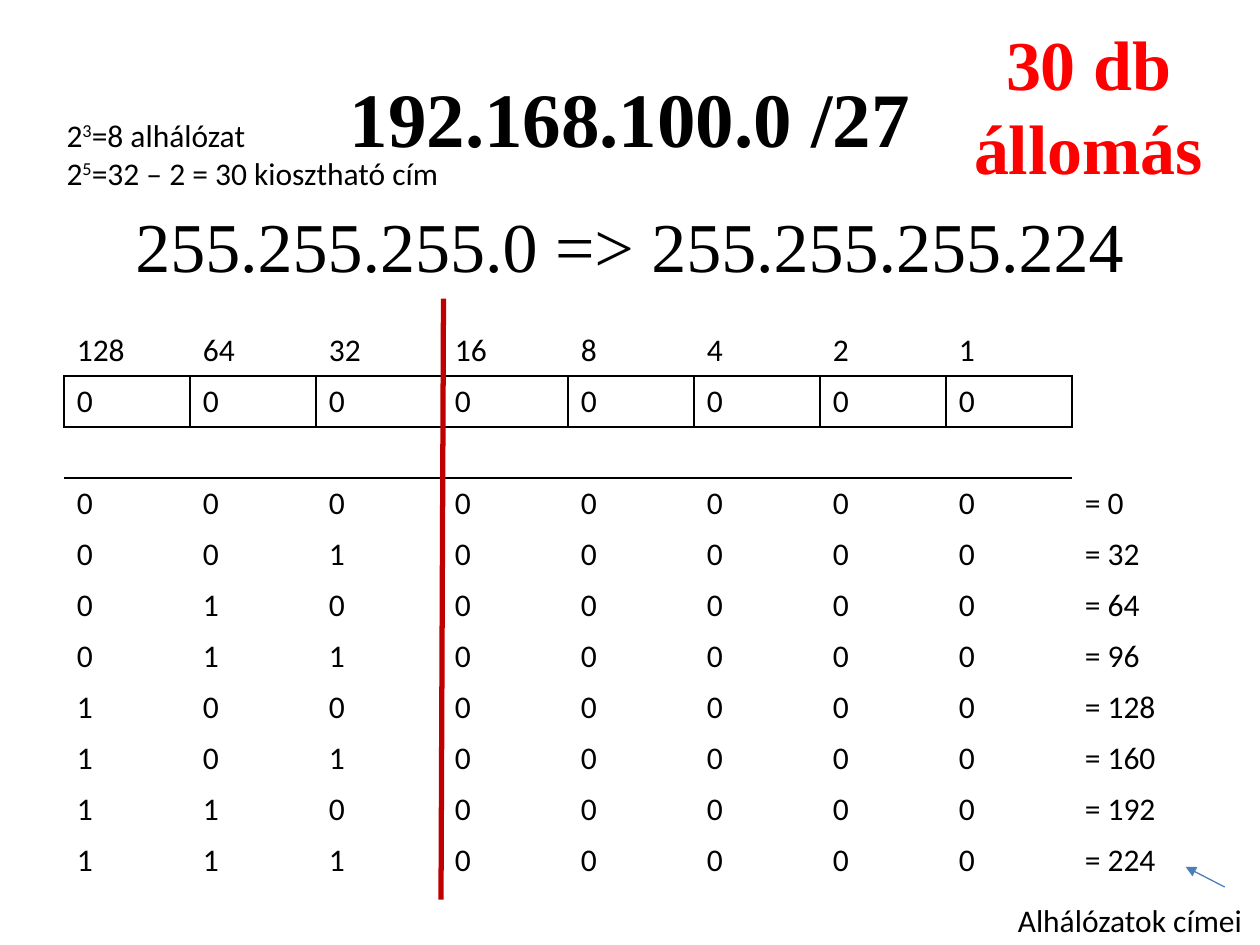
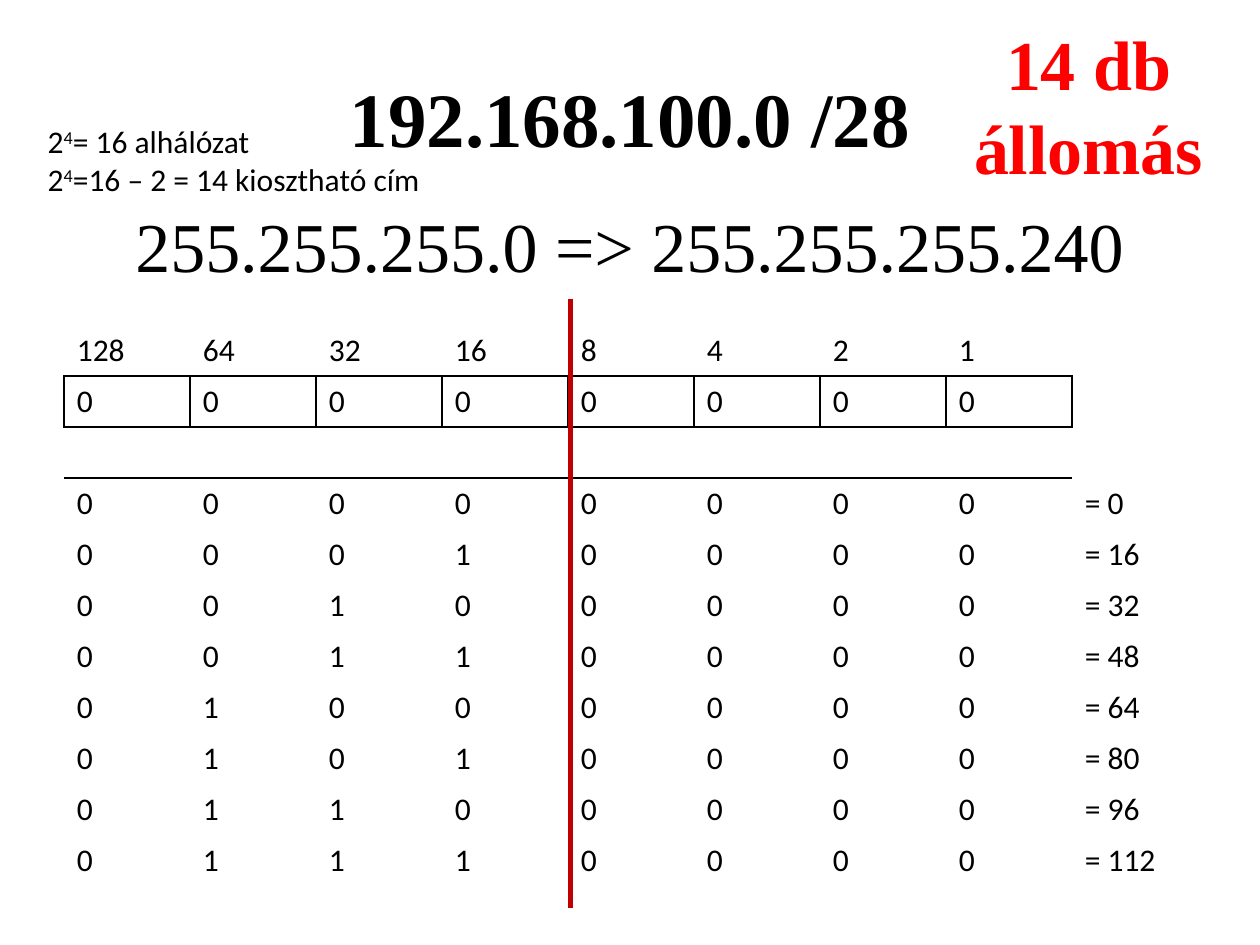
"""Two slides that split 192.168.100.0 into /27 and /28 subnets."""
from lxml import etree
from pptx import Presentation
from pptx import util as u
from pptx.dml.color import RGBColor
from pptx.enum import shapes, text
from pptx.oxml.ns import qn

SUBNETS = [
    dict(prefix=27, hosts="30 db állomás", mask=224, step=32,
         notes=[("3", "=8 alhálózat"), ("5", "=32 – 2 = 30 kiosztható cím")],
         notes_at=(0.43, 0.87), divider=((3.52, 2.37), (3.5, 7.14)),
         caption="Alhálózatok címei"),
    dict(prefix=28, hosts="14 db állomás", mask=240, step=16,
         notes=[("4", "= 16 alhálózat"), ("4", "=16 – 2 = 14 kiosztható cím")],
         notes_at=(0.28, 0.92), divider=((4.53, 2.37), (4.53, 7.21)),
         caption=None),
]
BITS = 8
SUBNET_ROWS = 8
WEIGHTS = [str(2 ** i) for i in reversed(range(BITS))]

BLACK = RGBColor(0, 0, 0)
RED = RGBColor(0xFF, 0, 0)
DARK_RED = RGBColor(0xC0, 0, 0)
BLUE = RGBColor(0x4B, 0x7E, 0xBC)
SERIF, SANS = "Times New Roman", "Calibri"
NO_STYLE = "{2D5ABB26-0587-4C30-8999-92F81FD0307C}"


def set_font(p, size, name, color=BLACK, bold=False):
    p.font.size, p.font.name, p.font.bold = u.Pt(size), name, bold
    p.font.color.rgb = color


def add_text(s, box, line, size, name, color=BLACK, bold=False,
             align=text.PP_ALIGN.CENTER, anchor=text.MSO_ANCHOR.TOP):
    tf = s.shapes.add_textbox(*map(u.Inches, box)).text_frame
    tf.word_wrap, tf.vertical_anchor = True, anchor
    p = tf.paragraphs[0]
    p.text, p.alignment = line, align
    set_font(p, size, name, color, bold)


def add_line(s, start, end, color, width):
    line = s.shapes.add_connector(shapes.MSO_CONNECTOR.STRAIGHT,
                                  *map(u.Inches, start + end))
    line.line.color.rgb, line.line.width = color, u.Pt(width)
    etree.SubElement(line._element.spPr, qn("a:effectLst"))
    return line


def add_notes(s, at, notes):
    box = s.shapes.add_textbox(*map(u.Inches, at + (4.33, 0.71)))
    tf = box.text_frame
    tf.word_wrap = True
    for i, (power, rest) in enumerate(notes):
        p = tf.add_paragraph() if i else tf.paragraphs[0]
        set_font(p, 18, SANS)
        for part in ("2", power, rest):
            p.add_run().text = part
        p.runs[1].font._element.set("baseline", "30000")


def add_borders(cell, sides):
    tc_pr = cell._tc.get_or_add_tcPr()
    for i, side in enumerate(side for side in "LRTB" if side in sides):
        ln = etree.Element(qn("a:ln" + side), w=str(u.Pt(1)))
        fill = etree.SubElement(ln, qn("a:solidFill"))
        etree.SubElement(fill, qn("a:srgbClr"), val=str(BLACK))
        tc_pr.insert(i, ln)


def add_bit_table(s, step):
    addresses = [i * step for i in range(SUBNET_ROWS)]
    rows = [WEIGHTS + [""], ["0"] * BITS + [""], [""] * (BITS + 1)]
    rows += [list(f"{a:08b}") + [f"= {a}"] for a in addresses]
    table = s.shapes.add_table(len(rows), BITS + 1, u.Inches(0.51), u.Inches(2.58),
                               u.Inches(9), u.Inches(4.46)).table
    table.first_row = table.horz_banding = False
    table._tbl.tblPr.find(qn("a:tableStyleId")).text = NO_STYLE
    borders = {0: "B", 1: "LRTB", 2: "TB"}
    for r, values in enumerate(rows):
        for c, value in enumerate(values):
            cell = table.cell(r, c)
            cell.text = value
            cell.fill.background()
            set_font(cell.text_frame.paragraphs[0], 18, SANS)
            if c < BITS:
                add_borders(cell, borders.get(r, ""))
            elif r == 1:
                add_borders(cell, "L")


def add_caption(s, caption):
    add_text(s, (7.98, 7.1, 2.06, 0.4), caption, 18, SANS, align=text.PP_ALIGN.LEFT)
    arrow = add_line(s, (9.72, 7.04), (9.41, 6.88), BLUE, 0.75)
    etree.SubElement(arrow.line._get_or_add_ln(), qn("a:tailEnd"), type="triangle")


def add_subnet_slide(prs, net):
    s = prs.slides.add_slide(prs.slide_layouts[6])
    add_text(s, (0.5, 0.3, 9, 1.25), f"192.168.100.0 /{net['prefix']}", 44, SERIF,
             bold=True, anchor=text.MSO_ANCHOR.MIDDLE)
    add_bit_table(s, net["step"])
    add_line(s, *net["divider"], DARK_RED, 3)
    add_text(s, (7.28, 0.11, 2.72, 1.45), net["hosts"], 40, SERIF, RED, True)
    add_text(s, (0.43, 1.56, 9.13, 0.77),
             f"255.255.255.0 => 255.255.255.{net['mask']}", 40, SERIF)
    if net["caption"]:
        add_caption(s, net["caption"])
    add_notes(s, net["notes_at"], net["notes"])


def main():
    prs = Presentation()
    prs.slide_width, prs.slide_height = u.Inches(10), u.Inches(7.5)
    for net in SUBNETS:
        add_subnet_slide(prs, net)
    prs.save("out.pptx")


if __name__ == "__main__":
    main()
